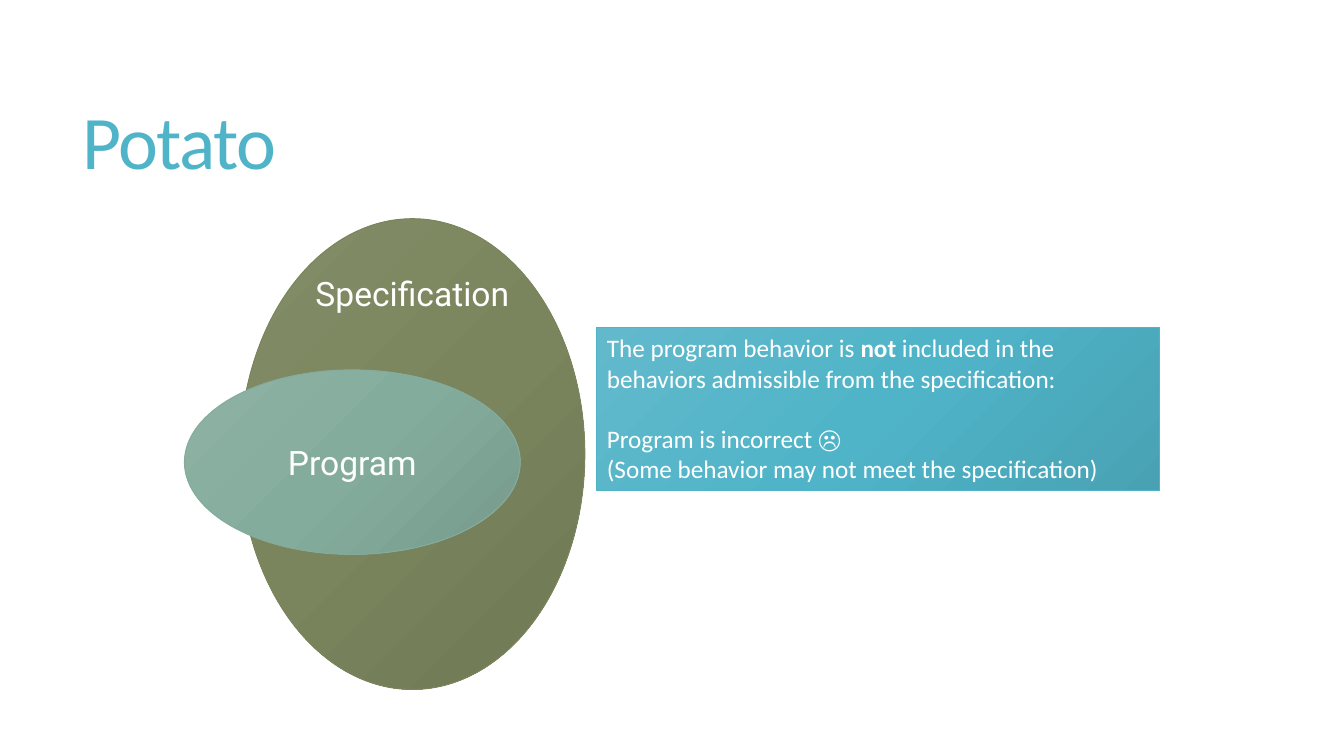
import copy
from dataclasses import dataclass

import pptx
import pptx.dml.color
import pptx.enum.shapes
import pptx.enum.text
import pptx.util

Inches = pptx.util.Inches
Pt = pptx.util.Pt
Color = pptx.dml.color.RGBColor.from_string
Shape = pptx.enum.shapes.MSO_SHAPE
Align = pptx.enum.text.PP_ALIGN
Anchor = pptx.enum.text.MSO_ANCHOR


@dataclass(frozen=True)
class Theme:
    accent: str = "50B4C8"
    white: str = "FFFFFF"
    olive: tuple = ("838E69", "7A855D", "6E7754")
    sage: tuple = ("8EB2A4", "84AC9D", "769B8D")
    teal: tuple = ("61B9CB", "50B4C8", "48A2B4")
    body_font: str = "Calibri"
    label_font: str = "Roboto"
    title_size: int = 54
    label_size: int = 24
    body_size: int = 18


theme = Theme()


def add_gradient_shape(kind, box, colors):
    """Add a shape with a diagonal three-colour gradient, outlined in the middle colour."""
    shape = slide.shapes.add_shape(kind, *map(Inches, box))
    shape.shadow.inherit = False
    shape.fill.gradient()
    shape.fill.gradient_angle = 315
    stop_list = shape._element.spPr.find(".//" + pptx.oxml.ns.qn("a:gsLst"))
    stop_list.append(copy.deepcopy(stop_list[-1]))
    for index, (stop, color) in enumerate(zip(shape.fill.gradient_stops, colors)):
        stop.color.rgb = Color(color)
        stop.position = index / 2
    shape.line.color.rgb = Color(colors[1])
    shape.line.width = Pt(0.75)
    return shape


def style_text(text_frame, font_name, size, color, alignment):
    text_frame.word_wrap = True
    for paragraph in text_frame.paragraphs:
        paragraph.alignment = alignment
        for run in paragraph.runs:
            run.font.name = font_name
            run.font.size = Pt(size)
            run.font.color.rgb = Color(color)


presentation = pptx.Presentation()
presentation.slide_width = Inches(13.33)
presentation.slide_height = Inches(7.5)
slide = presentation.slides.add_slide(presentation.slide_layouts[6])

# Title
title = slide.shapes.add_textbox(*map(Inches, (0.72, 0.55, 11.78, 1.81))).text_frame
title.text = "Potato"
title.vertical_anchor = Anchor.MIDDLE
title.paragraphs[0].line_spacing = 0.85
style_text(title, theme.body_font, theme.title_size, theme.accent, Align.LEFT)
title.paragraphs[0].runs[0].font._element.set("spc", "-120")

# Overlapping sets
add_gradient_shape(Shape.OVAL, (2.38, 2.17, 3.42, 4.67), theme.olive)
program = add_gradient_shape(Shape.OVAL, (1.83, 3.67, 3.33, 1.83), theme.sage)
specification = slide.shapes.add_textbox(*map(Inches, (2.88, 2.66, 2.42, 0.5)))
for shape, label in ((specification, "Specification"), (program, "Program")):
    shape.text_frame.text = label
    shape.text_frame.vertical_anchor = Anchor.MIDDLE
    style_text(shape.text_frame, theme.label_font, theme.label_size, theme.white, Align.CENTER)

# Conclusion
conclusion = add_gradient_shape(Shape.RECTANGLE, (5.92, 3.25, 5.58, 1.62), theme.teal).text_frame
conclusion.text = (
    "The program behavior is \n"
    "Program is incorrect ☹\n"
    "(Some behavior may not meet the specification)"
)
conclusion.vertical_anchor = Anchor.TOP
statement, verdict, reason = conclusion.paragraphs
emphasis = statement.add_run()
emphasis.text = "not"
emphasis.font.bold = True
statement.add_run().text = " included in the behaviors admissible from the specification:"
verdict.space_before = Pt(21.6)
style_text(conclusion, theme.body_font, theme.body_size, theme.white, Align.LEFT)

presentation.save("out.pptx")
